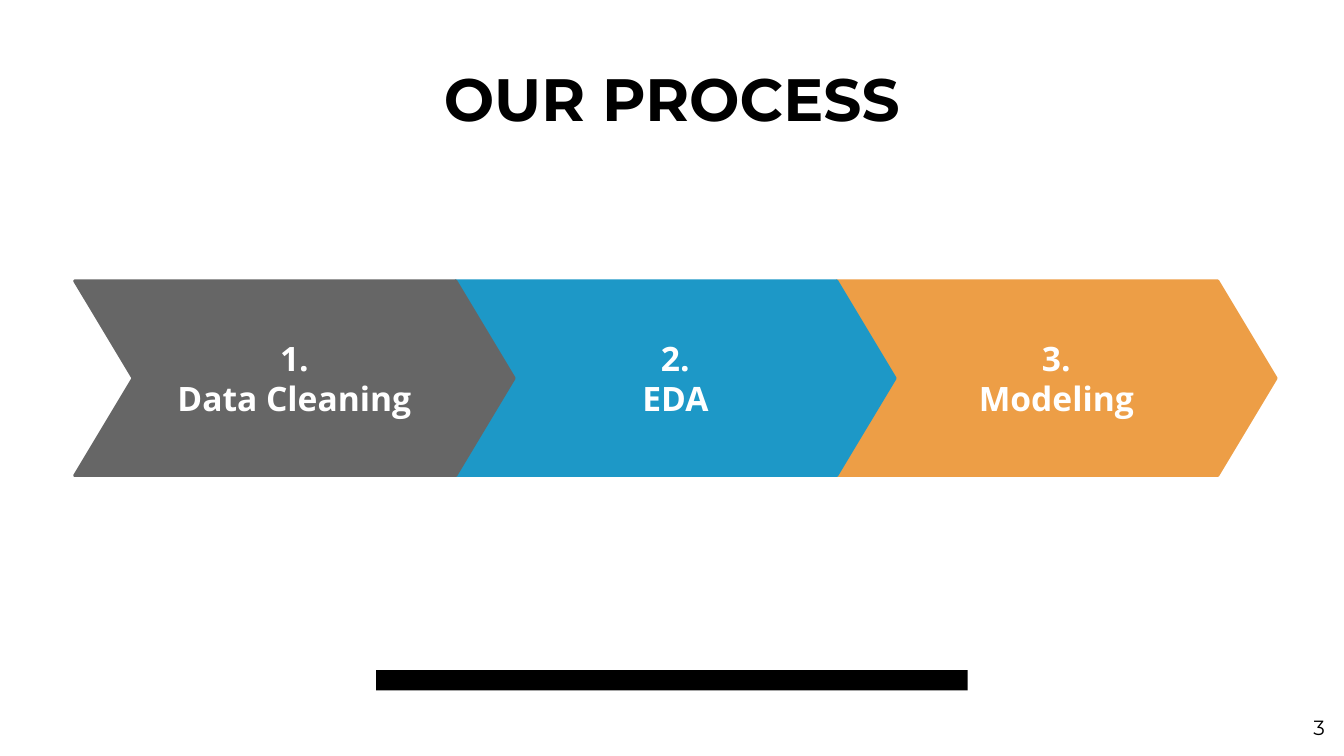
"""Build the three-step process slide."""
from dataclasses import dataclass

import pptx
import pptx.dml.color
import pptx.enum.shapes
import pptx.enum.text
import pptx.util
from pptx.util import Cm

ALIGN = pptx.enum.text.PP_ALIGN
ANCHOR = pptx.enum.text.MSO_ANCHOR
SHAPE = pptx.enum.shapes.MSO_SHAPE


@dataclass(frozen=True)
class Theme:
    """Hold the colours, fonts and type sizes."""
    ink: str = "000000"
    paper: str = "FFFFFF"
    grey: str = "666666"
    blue: str = "1D98C7"
    orange: str = "ED9E46"
    heading_font: str = "Montserrat"
    step_font: str = "Open Sans"
    title_size: int = 32
    step_size: int = 18
    number_size: int = 11


@dataclass(frozen=True)
class Box:
    """Hold a position and size in centimetres."""
    left: float
    top: float
    width: float
    height: float

    def lengths(self) -> tuple:
        """Return left, top, width and height as lengths."""
        return Cm(self.left), Cm(self.top), Cm(self.width), Cm(self.height)


@dataclass(frozen=True)
class Step:
    """Describe one stage of the process."""
    name: str
    color: str


THEME = Theme()
STEPS = [
    Step("Data Cleaning", THEME.grey),
    Step("EDA", THEME.blue),
    Step("Modeling", THEME.orange),
]
FIRST_STEP = Box(1.41, 5.31, 8.31, 3.68)
STEP_PITCH = 7.2
TITLE = Box(1.27, 1.18, 22.86, 1.6)
BAR = Box(7.11, 12.67, 11.18, 0.38)
NUMBER = Box(23.77, 13.27, 1.52, 0.81)


def rgb(value: str) -> pptx.dml.color.RGBColor:
    """Return a colour from its hex value."""
    return pptx.dml.color.RGBColor.from_string(value)


def write(shape, *lines: str, font: str, size: int, color: str,
          bold: bool = False, align=ALIGN.CENTER, anchor=ANCHOR.TOP) -> None:
    """Fill a shape with formatted lines, one paragraph each."""
    frame = shape.text_frame
    frame.word_wrap = True
    frame.auto_size = pptx.enum.text.MSO_AUTO_SIZE.NONE
    frame.vertical_anchor = anchor
    frame.margin_left = frame.margin_right = Cm(0.25)
    frame.margin_top = frame.margin_bottom = Cm(0.25)
    frame.text = "\n".join(lines)
    for para in frame.paragraphs:
        para.alignment = align
        for span in para.runs:
            span.font.name = font
            span.font.size = pptx.util.Pt(size)
            span.font.bold = bold
            span.font.color.rgb = rgb(color)


def add_block(page, kind, box: Box, color: str):
    """Add a flat shape in one colour without an outline."""
    block = page.shapes.add_shape(kind, *box.lengths())
    block.shadow.inherit = False
    block.fill.solid()
    block.fill.fore_color.rgb = rgb(color)
    block.line.fill.background()
    return block


def add_step(page, index: int, step: Step) -> None:
    """Add the numbered chevron of one step."""
    first = FIRST_STEP
    box = Box(first.left + index * STEP_PITCH, first.top, first.width, first.height)
    chevron = add_block(page, SHAPE.CHEVRON, box, step.color)
    chevron.adjustments[0] = 0.3
    chevron.line.color.rgb = rgb(step.color)
    chevron.line.width = pptx.util.Pt(1.5)
    write(chevron, f"{index + 1}.", step.name, font=THEME.step_font,
          size=THEME.step_size, color=THEME.paper, bold=True, anchor=ANCHOR.MIDDLE)


def add_title(page, text: str) -> None:
    """Place and format the title placeholder."""
    title = page.shapes.title
    title.left, title.top, title.width, title.height = TITLE.lengths()
    write(title, text, font=THEME.heading_font, size=THEME.title_size,
          color=THEME.ink, bold=True, anchor=ANCHOR.BOTTOM)


def remove_footers(layout) -> None:
    """Remove the date, footer and number placeholders that lie below the page."""
    for holder in list(layout.placeholders):
        if holder.placeholder_format.type != pptx.enum.shapes.PP_PLACEHOLDER.TITLE:
            holder.element.getparent().remove(holder.element)


def main() -> None:
    """Build and save the deck."""
    deck = pptx.Presentation()
    deck.slide_width, deck.slide_height = Cm(25.4), Cm(14.29)
    layout = deck.slide_layouts.get_by_name("Title Only")
    remove_footers(layout)
    page = deck.slides.add_slide(layout)
    page.background.fill.solid()
    page.background.fill.fore_color.rgb = rgb(THEME.paper)

    add_title(page, "OUR PROCESS")
    for index, step in reversed(list(enumerate(STEPS))):
        add_step(page, index, step)
    add_block(page, SHAPE.RECTANGLE, BAR, THEME.ink)
    number = page.shapes.add_textbox(*NUMBER.lengths())
    write(number, "3", font=THEME.heading_font, size=THEME.number_size,
          color=THEME.ink, align=ALIGN.RIGHT)
    deck.save("out.pptx")


if __name__ == "__main__":
    main()
